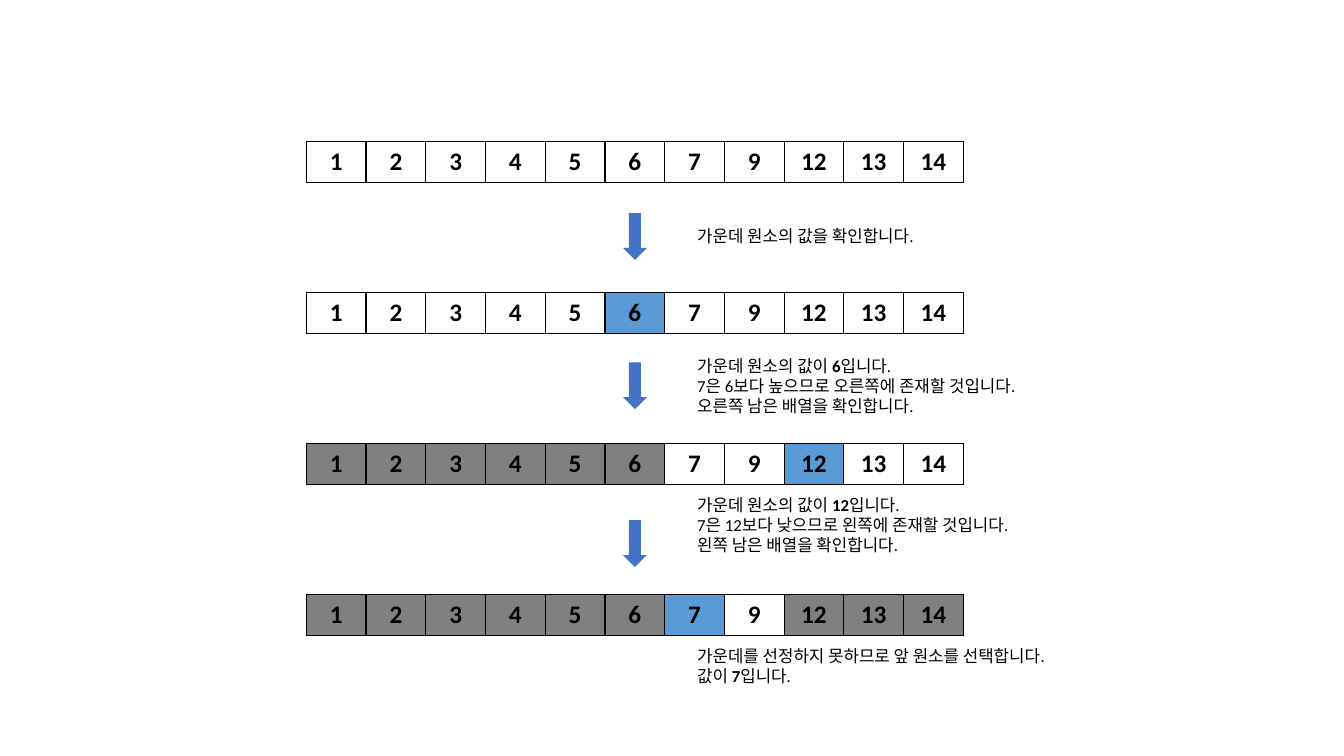
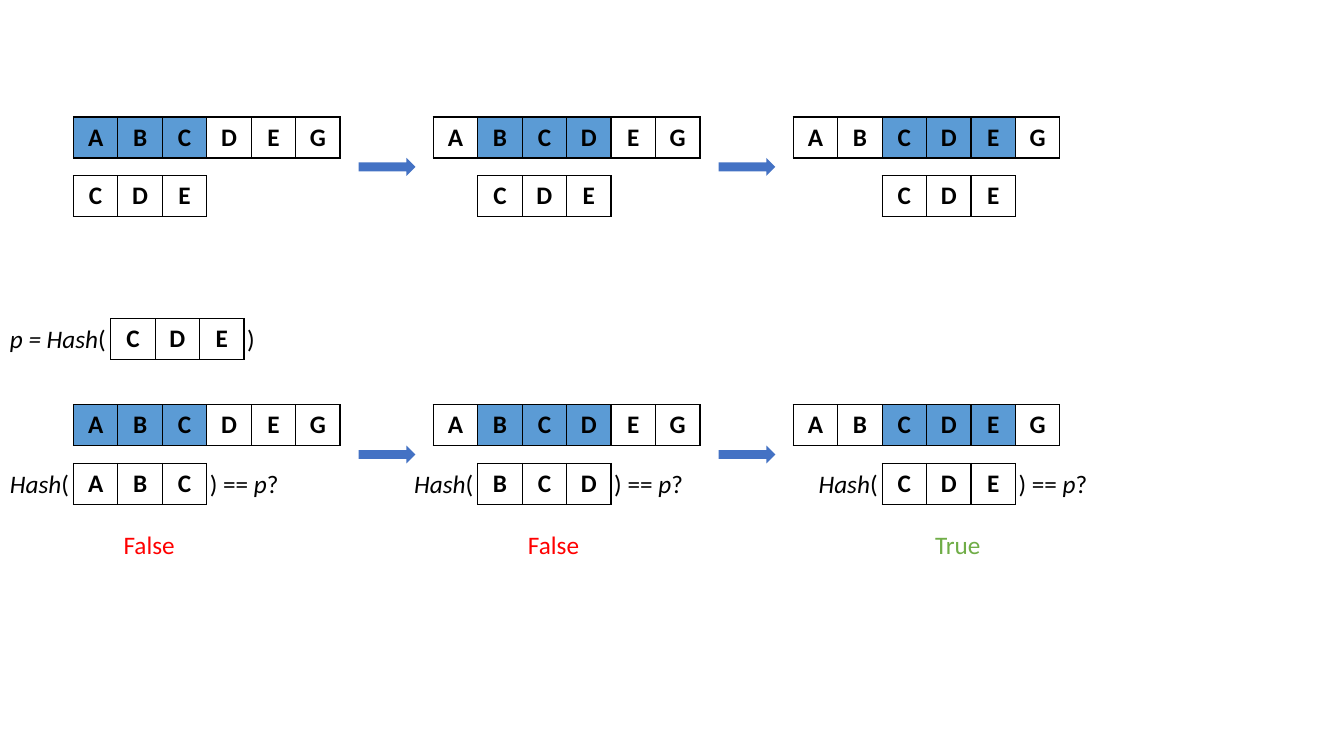
from lxml.etree import SubElement
from pptx import Presentation
from pptx.dml.color import RGBColor
from pptx.enum.shapes import MSO_SHAPE as Shape
from pptx.enum.text import MSO_AUTO_SIZE as AutoSize, PP_ALIGN as Align
from pptx.oxml.ns import qn
from pptx.util import Cm, Pt

BLACK = RGBColor(0x00, 0x00, 0x00)
BLUE = RGBColor(0x5B, 0x9B, 0xD5)
GRAY = RGBColor(0x80, 0x80, 0x80)
ARROW_BLUE = RGBColor(0x44, 0x72, 0xC4)
RED = RGBColor(0xFF, 0x00, 0x00)
GREEN = RGBColor(0x70, 0xAD, 0x47)

SHADES = {"b": BLUE, "g": GRAY}
CELL_FORMAT = {"name": "Calibri", "size": Pt(18), "bold": True}
CAPTION_FORMAT = {"name": "Calibri", "size": Pt(12)}
FORMULA_FORMAT = {"name": "Calibri", "size": Pt(18)}
BOLD = {"bold": True}
ITALIC = {"italic": True}

ROW_HEIGHT = 1.03
TEXT_INSET = 0.25
LETTER_WIDTH = 1.12
PATTERN_WIDTH = 3 * LETTER_WIDTH
PATTERN_DROP = 1.48
FORMULA_WIDTH = 7.52

NUMBERS = "1 2 3 4 5 6 7 9 12 13 14".split()
SEARCH_SHADES = ["...........", ".....b.....", "ggggggggb..", "ggggggb.ggg"]
SEARCH_SHADES[2] = "gggggg..b.."
CAPTIONS = [
    (5.56, 6.45, 0.77, [[("가운데 원소의 값을 확인합니다.", {})]]),
    (8.84, 9.35, 1.8, [
        [("가운데 원소의 값이 ", {}), ("6", BOLD), ("입니다.", {})],
        [("7은 6보다 높으므로 오른쪽에 존재할 것입니다.", {})],
        [("오른쪽 남은 배열을 확인합니다.", {})]]),
    (12.34, 9.12, 1.8, [
        [("가운데 원소의 값이 ", {}), ("12", BOLD), ("입니다.", {})],
        [("7은 12보다 낮으므로 왼쪽에 존재할 것입니다.", {})],
        [("왼쪽 남은 배열을 확인합니다.", {})]]),
    (16.15, 10.08, 1.28, [
        [("가운데를 선정하지 못하므로 앞 원소를 선택합니다.", {})],
        [("값이 ", {}), ("7", BOLD), ("입니다.", {})]]),
]
LETTERS = "ABCDEG"
WINDOW_SHADES = ["bbb...", ".bbb..", "..bbb."]
VERDICTS = [("False", RED), ("False", RED), ("True", GREEN)]


def add_run(paragraph, text, formats, color=BLACK):
    """Append a run with the given font values."""
    run = paragraph.add_run()
    run.text = text
    for name, value in formats.items():
        setattr(run.font, name, value)
    run.font.color.rgb = color


def add_borders(cell):
    """Draw a thin black line on every side of a cell."""
    properties = cell._tc.get_or_add_tcPr()
    for position, side in enumerate(("a:lnL", "a:lnR", "a:lnT", "a:lnB")):
        line = properties.makeelement(qn(side), {"w": str(Pt(1))})
        fill = SubElement(line, qn("a:solidFill"))
        SubElement(fill, qn("a:srgbClr"), val=str(BLACK))
        properties.insert(position, line)


def add_array(slide, left, top, width, values, shades=""):
    """Place a one-row table of equal cells, shaded by letter code."""
    frame = slide.shapes.add_table(
        1, len(values), Cm(left), Cm(top), Cm(width), Cm(ROW_HEIGHT))
    table = frame.table
    table.first_row = table.horz_banding = False
    for cell, value, shade in zip(table.iter_cells(), values,
                                  shades.ljust(len(values), ".")):
        if shade in SHADES:
            cell.fill.solid()
            cell.fill.fore_color.rgb = SHADES[shade]
        else:
            cell.fill.background()
        add_borders(cell)
        paragraph = cell.text_frame.paragraphs[0]
        paragraph.alignment = Align.CENTER
        add_run(paragraph, value, CELL_FORMAT)


def add_arrow(slide, left, top, width, height, rotation=0):
    """Place a plain block arrow."""
    arrow = slide.shapes.add_shape(
        Shape.RIGHT_ARROW, Cm(left), Cm(top), Cm(width), Cm(height))
    arrow.rotation = rotation
    arrow.shadow.inherit = False
    arrow.fill.solid()
    arrow.fill.fore_color.rgb = ARROW_BLUE
    arrow.line.fill.background()


def add_text(slide, left, top, width, height, lines, formats, wrap):
    """Place a text box and return its paragraphs."""
    box = slide.shapes.add_textbox(Cm(left), Cm(top), Cm(width), Cm(height))
    frame = box.text_frame
    frame.word_wrap = wrap
    frame.auto_size = AutoSize.SHAPE_TO_FIT_TEXT
    for index, line in enumerate(lines):
        paragraph = frame.add_paragraph() if index else frame.paragraphs[0]
        for text, extra in line:
            add_run(paragraph, text, {**formats, **extra})
    return frame


def add_formula(slide, left, top, pattern_left, pattern, parts, verdict=None):
    """Place a hash formula whose argument is a small array."""
    add_array(slide, pattern_left, top, PATTERN_WIDTH, pattern)
    height = 2.56 if verdict else ROW_HEIGHT
    frame = add_text(slide, left, top, FORMULA_WIDTH, height, [parts],
                     FORMULA_FORMAT, True)
    closing = pattern_left + PATTERN_WIDTH - left - TEXT_INSET + 0.08
    properties = frame.paragraphs[0]._p.get_or_add_pPr()
    tabs = SubElement(properties, qn("a:tabLst"))
    SubElement(tabs, qn("a:tab"), pos=str(Cm(closing)), algn="l")
    if verdict:
        text, color = verdict
        paragraph = frame.add_paragraph()
        paragraph.alignment = Align.CENTER
        paragraph.space_before = Pt(22)
        add_run(paragraph, text, FORMULA_FORMAT, color)


def add_windows(slide, left, top, pitch):
    """Place the three window positions with arrows between them."""
    width = len(LETTERS) * LETTER_WIDTH
    for index, shades in enumerate(WINDOW_SHADES):
        array_left = left + index * pitch
        add_array(slide, array_left, top, width, LETTERS, shades)
        if index:
            add_arrow(slide, array_left - 1.88, top + ROW_HEIGHT, 1.43, 0.45)


def build_binary_search(slide, left, top, width, pitch):
    """Draw the binary search steps and their captions."""
    for index, shades in enumerate(SEARCH_SHADES):
        add_array(slide, left, top + index * pitch, width, NUMBERS, shades)
    length, thickness = 1.18, 0.6
    for center in (5.96, 9.72, 13.7):
        add_arrow(slide, left + (width - length) / 2, center - thickness / 2,
                  length, thickness, 90)
    for caption_top, caption_width, height, lines in CAPTIONS:
        add_text(slide, left + 9.6, caption_top, caption_width, height, lines,
                 CAPTION_FORMAT, False)


def build_string_search(slide, left, top, pitch):
    """Draw plain matching above and hash matching below."""
    hash_top = top + 7.25
    pattern_pitch = pitch + LETTER_WIDTH
    add_windows(slide, left, top, pitch)
    add_windows(slide, left, hash_top, pitch)
    add_formula(slide, 0, top + 5.08, left + 0.94, "CDE",
                [("p = Hash", ITALIC), ("(\t)", {})])
    parts = [("Hash", ITALIC), ("(\t) == ", {}), ("p", ITALIC), ("?", {})]
    for index, verdict in enumerate(VERDICTS):
        offset = index * pattern_pitch
        add_array(slide, left + offset, top + PATTERN_DROP, PATTERN_WIDTH, "CDE")
        add_formula(slide, offset, hash_top + PATTERN_DROP, left + offset,
                    "ABCDE"[index:index + 3], parts, verdict)


def main():
    """Build and save the presentation."""
    presentation = Presentation()
    presentation.slide_width, presentation.slide_height = Cm(33.87), Cm(19.05)
    blank = presentation.slide_layouts[6]
    build_binary_search(presentation.slides.add_slide(blank),
                        7.72, 3.56, 16.56, 3.81)
    build_string_search(presentation.slides.add_slide(blank), 1.85, 2.95, 9.07)
    presentation.save("out.pptx")


main()
